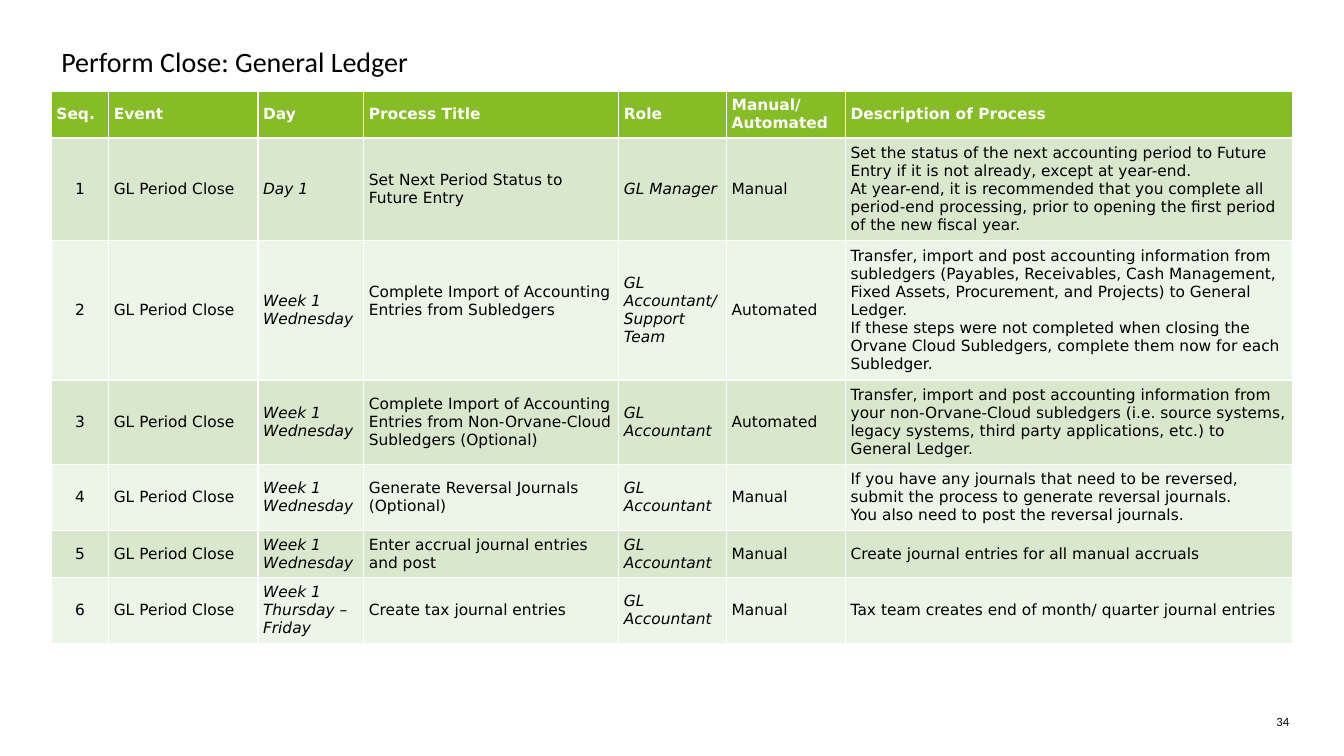
"""Build the general ledger period close slide."""
from dataclasses import astuple, dataclass

from lxml import etree
from pptx import Presentation
from pptx.dml.color import RGBColor
from pptx.enum.text import MSO_ANCHOR, PP_ALIGN
from pptx.oxml.ns import qn
from pptx.slide import Slide
from pptx.table import Table, _Cell
from pptx.util import Pt

LEFT, RIGHT, CENTER = PP_ALIGN.LEFT, PP_ALIGN.RIGHT, PP_ALIGN.CENTER
MIDDLE = MSO_ANCHOR.MIDDLE
COLORS = {"text": "000000", "white": "FFFFFF", "header": "86BC25",
          "odd": "D9E7CD", "even": "EDF4E8"}
TITLE_FONT, TABLE_FONT = "Calibri", "DejaVu Sans"
COL_WIDTHS = (41, 106.6, 75.6, 182.2, 77, 85, 319)
ROW_HEIGHTS = (33.2, 73.2, 99.6, 60.2, 47.1, 33.6, 46.4)
SEQ_COL, TITLE_COL, ITALIC_COLS = 0, 3, (2, 4)
HEAVY_EDGES = (1, 3)
INSET, LINE_HEIGHT = 3.6, 12.8


@dataclass
class Step:
    seq: str
    event: str
    day: str
    title: str
    role: str
    mode: str
    description: str


@dataclass
class Label:
    text: str
    left: float
    top: float
    width: float
    height: float
    size: float
    align: PP_ALIGN
    inset_x: float
    inset_y: float


GL_CLOSE, WEDNESDAY, ACCOUNTANT = "GL Period Close", "Week 1 Wednesday", "GL Accountant"
STEPS = (
    Step("Seq.", "Event", "Day", "Process Title", "Role", "Manual/ Automated",
         "Description of Process"),
    Step("1", GL_CLOSE, "Day 1", "Set Next Period Status to Future Entry",
         "GL Manager", "Manual",
         "Set the status of the next accounting period to Future Entry if it is not "
         "already, except at year-end.\n"
         "At year-end, it is recommended that you complete all period-end processing, "
         "prior to opening the first period of the new fiscal year."),
    Step("2", GL_CLOSE, WEDNESDAY,
         "Complete Import of Accounting Entries from Subledgers",
         "GL Accountant/Support Team", "Automated",
         "Transfer, import and post accounting information from subledgers (Payables, "
         "Receivables, Cash Management, Fixed Assets, Procurement, and Projects) to "
         "General Ledger.\n"
         "If these steps were not completed when closing the Orvane Cloud Subledgers, "
         "complete them now for each Subledger."),
    Step("3", GL_CLOSE, WEDNESDAY,
         "Complete Import of Accounting Entries from Non-Orvane-Cloud Subledgers (Optional)",
         ACCOUNTANT, "Automated",
         "Transfer, import and post accounting information from your non-Orvane-Cloud "
         "subledgers (i.e. source systems, legacy systems, third party applications, "
         "etc.) to General Ledger."),
    Step("4", GL_CLOSE, WEDNESDAY, "Generate Reversal Journals (Optional)",
         ACCOUNTANT, "Manual",
         "If you have any journals that need to be reversed, submit the process to "
         "generate reversal journals.\n"
         "You also need to post the reversal journals."),
    Step("5", GL_CLOSE, WEDNESDAY, "Enter accrual journal entries and post",
         ACCOUNTANT, "Manual", "Create journal entries for all manual accruals"),
    Step("6", GL_CLOSE, "Week 1 Thursday – Friday", "Create tax journal entries",
         ACCOUNTANT, "Manual", "Tax team creates end of month/ quarter journal entries"),
)
LABELS = (
    Label("Perform Close: General Ledger", 36.72, 28.1, 886.3, 26.6, 20, LEFT, 7.2, 3.6),
    Label("34", 896.4, 509.8, 24.5, 10.8, 9, RIGHT, 0, 0),
)


def add_label(s: Slide, label: Label) -> None:
    sp = s.shapes.add_textbox(Pt(label.left), Pt(label.top), Pt(label.width), Pt(label.height))
    tf = sp.text_frame
    tf.word_wrap = True
    tf.margin_left = tf.margin_right = Pt(label.inset_x)
    tf.margin_top = tf.margin_bottom = Pt(label.inset_y)
    tf.text = label.text
    p = tf.paragraphs[0]
    p.alignment = label.align
    r = p.runs[0]
    r.font.name, r.font.size = TITLE_FONT, Pt(label.size)
    r.font.color.rgb = RGBColor.from_string(COLORS["text"])


def set_borders(cell: _Cell, row: int) -> None:
    tc_pr = cell._tc.get_or_add_tcPr()
    top, bottom = (1.5 if edge in HEAVY_EDGES else 1 for edge in (row, row + 1))
    sides = (("a:lnL", 1), ("a:lnR", 1), ("a:lnT", top), ("a:lnB", bottom))
    for i, (tag, width) in enumerate(sides):
        ln = etree.Element(qn(tag), w=str(Pt(width)))
        fill = etree.SubElement(ln, qn("a:solidFill"))
        etree.SubElement(fill, qn("a:srgbClr"), val=COLORS["white"])
        tc_pr.insert(i, ln)


def fill_cell(cell: _Cell, text: str, row: int, col: int) -> None:
    header = row == 0
    band = "header" if header else "odd" if row % 2 else "even"
    cell.fill.solid()
    cell.fill.fore_color.rgb = RGBColor.from_string(COLORS[band])
    set_borders(cell, row)
    cell.vertical_anchor = MIDDLE
    cell.margin_left = cell.margin_right = Pt(INSET)
    cell.margin_top = cell.margin_bottom = Pt(INSET)
    cell.text_frame.text = text
    for p in cell.text_frame.paragraphs:
        p.alignment = CENTER if col == SEQ_COL and not header else LEFT
        for r in p.runs:
            r.font.name, r.font.size = TABLE_FONT, Pt(11)
            r.font.bold = header
            r.font.italic = col in ITALIC_COLS and not header
            r.font.color.rgb = RGBColor.from_string(COLORS["white" if header else "text"])


def add_steps(s: Slide) -> Table:
    frame = s.shapes.add_table(len(STEPS), len(COL_WIDTHS), Pt(36.72), Pt(65),
                               Pt(sum(COL_WIDTHS)), Pt(sum(ROW_HEIGHTS)))
    table = frame.table
    for column, width in zip(table.columns, COL_WIDTHS):
        column.width = Pt(width)
    for i, (step, height) in enumerate(zip(STEPS, ROW_HEIGHTS)):
        table.rows[i].height = Pt(height)
        for j, text in enumerate(astuple(step)):
            fill_cell(table.cell(i, j), text, i, j)
    return table


def main() -> None:
    prs = Presentation()
    prs.slide_width, prs.slide_height = Pt(960), Pt(540)
    s = prs.slides.add_slide(prs.slide_layouts[6])
    for label in LABELS:
        add_label(s, label)
    table = add_steps(s)
    table.cell(2, TITLE_COL).margin_bottom = Pt(INSET + LINE_HEIGHT)
    prs.save("out.pptx")


if __name__ == "__main__":
    main()
